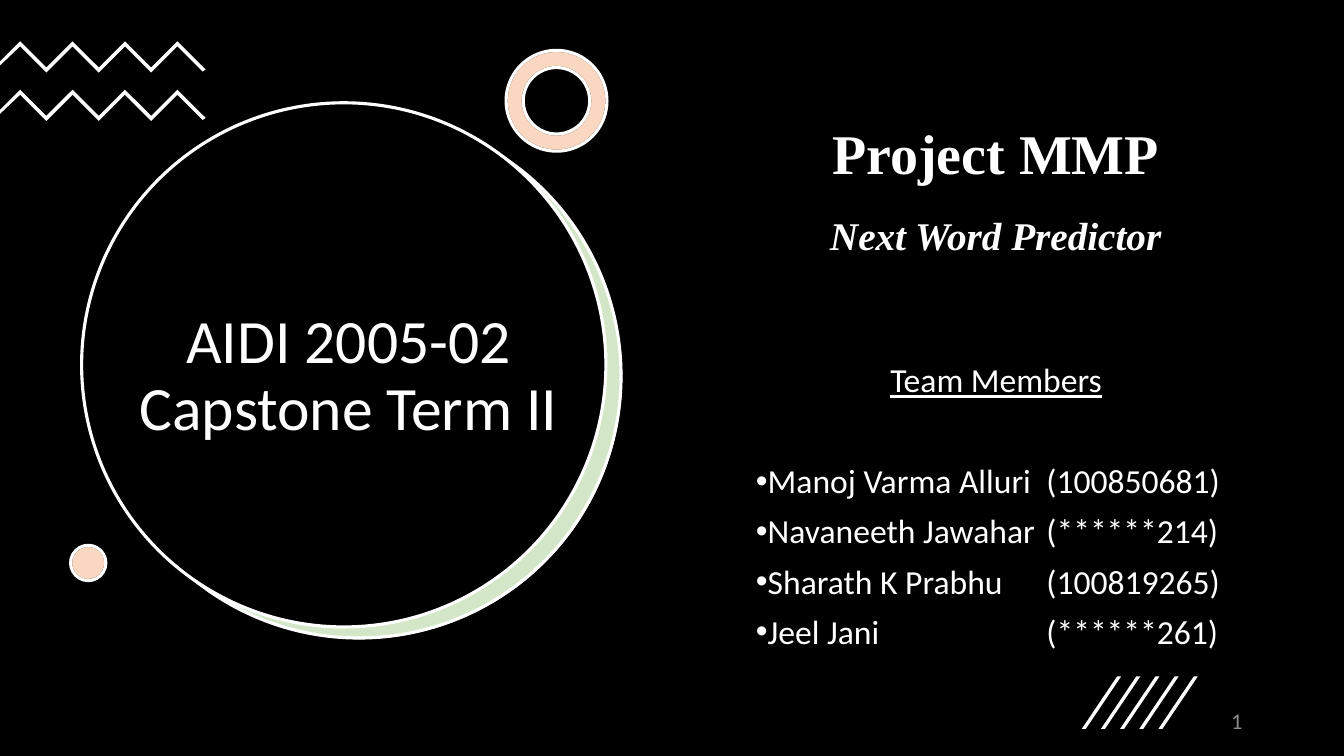
from dataclasses import dataclass

from lxml import etree
from pptx import Presentation
from pptx.dml.color import RGBColor
from pptx.enum.shapes import MSO_SHAPE
from pptx.enum.text import MSO_ANCHOR, PP_ALIGN
from pptx.oxml import parse_xml
from pptx.oxml.ns import nsdecls, qn
from pptx.util import Inches, Pt

OVAL, DONUT = MSO_SHAPE.OVAL, MSO_SHAPE.DONUT
MIDDLE = MSO_ANCHOR.MIDDLE
CENTER, RIGHT = PP_ALIGN.CENTER, PP_ALIGN.RIGHT


@dataclass(frozen=True)
class Theme:
    black: str = "000000"
    white: str = "FFFFFF"
    green: str = "70AD47"
    orange: str = "ED7D31"
    gray: str = "8C8C8C"
    sans: str = "Calibri"
    serif: str = "Times New Roman"
    course: int = 44
    project: int = 40
    tagline: int = 28
    team: int = 24
    number: int = 16
    outline: float = 2.25


theme = Theme()


def add_run(para, text, size, font=theme.sans, color=theme.white):
    span = para.add_run()
    span.text = text
    span.font.size = Pt(size)
    span.font.name = font
    span.font.color.rgb = RGBColor.from_string(color)
    return span


def add_outline(group, points):
    corners = [(Inches(x), Inches(y)) for x, y in points]
    builder = group.shapes.build_freeform(*corners[0], scale=1.0)
    builder.add_line_segments(corners[1:], close=True)
    shape = builder.convert_to_shape()
    shape.shadow.inherit = False
    shape.fill.solid()
    shape.fill.fore_color.rgb = RGBColor.from_string(theme.white)
    shape.line.fill.background()


deck = Presentation()
deck.slide_width, deck.slide_height = Inches(13.33), Inches(7.5)
slide = deck.slides.add_slide(deck.slide_layouts.get_by_name("Title Only"))
slide.background.fill.solid()
slide.background.fill.fore_color.rgb = RGBColor.from_string(theme.black)

rounds = [
    (OVAL, 0.97, 1.14, 5.2, theme.white, None, False),
    (OVAL, 0.96, 1.13, 5.2, theme.green, theme.white, True),
    (OVAL, 0.81, 1.02, 5.2, theme.black, theme.white, False),
    (DONUT, 5.02, 0.5, 1, theme.white, theme.black, False),
    (DONUT, 5.02, 0.5, 1, theme.orange, theme.white, True),
    (OVAL, 0.7, 5.41, 0.35, theme.white, theme.black, False),
    (OVAL, 0.7, 5.41, 0.35, theme.orange, theme.white, True),
]
for kind, left, top, size, fill, line, tinted in rounds:
    shape = slide.shapes.add_shape(kind, Inches(left), Inches(top), Inches(size), Inches(size))
    shape.shadow.inherit = False
    shape.fill.solid()
    shape.fill.fore_color.rgb = RGBColor.from_string(fill)
    if kind == DONUT:
        shape.adjustments[0] = 0.17
    if tinted:
        color = shape.element.spPr.find(qn("a:solidFill")).find(qn("a:srgbClr"))
        etree.SubElement(color, qn("a:alpha"), val="30000")
    if line:
        shape.line.color.rgb = RGBColor.from_string(line)
        shape.line.width = Pt(theme.outline)
    else:
        shape.line.fill.background()

zigzags = slide.shapes.add_group_shape()
for top in (0.41, 0.89):
    upper = [(0.2 + 0.26 * i, top + 0.26 * (i % 2)) for i in range(7)]
    lower = [(x, y + 0.05) for x, y in reversed(upper)]
    right_end = [(2.04, top + 0.28), (2.01, top + 0.3)]
    left_end = [(0, top + 0.24), (0, top + 0.2)]
    add_outline(zigzags, upper + right_end + lower + left_end)

slashes = slide.shapes.add_group_shape()
for i in range(5):
    left = 10.73 + 0.19 * i
    add_outline(slashes, [(left + 0.04, 7.23), (left, 7.23), (left + 0.35, 6.71), (left + 0.39, 6.71)])

title = slide.shapes.title
slide.shapes.element.append(title.element)
title.left, title.top, title.width, title.height = map(Inches, (1.14, 1.98, 4.64, 3.52))
title.text_frame.word_wrap = True
title.text_frame.vertical_anchor = MIDDLE
para = title.text_frame.paragraphs[0]
para.alignment = CENTER
para.line_spacing = 0.9
add_run(para, "AIDI 2005-02 Capstone Term II", theme.course)

box = slide.shapes.add_textbox(Inches(7.4), Inches(3.56), Inches(4.96), Inches(2.96))
box.text_frame.word_wrap = True
para = box.text_frame.paragraphs[0]
para.alignment = CENTER
para.line_spacing = 0.9
add_run(para, "Team Members", theme.team).font.underline = True

members = [
    ("Manoj Varma Alluri", "(100850681)"),
    ("Navaneeth Jawahar", "(******214)"),
    ("Sharath K Prabhu", "(100819265)"),
    ("Jeel Jani", "(******261)"),
]
for i, (name, student_id) in enumerate(members):
    para = box.text_frame.add_paragraph()
    para.line_spacing = 0.9
    para.space_before = Pt(10 if i else 46)
    add_run(para, f"{name}\t{student_id}", theme.team)
    props = para._p.get_or_add_pPr()
    props.set("marL", "0")
    props.set("indent", "0")
    etree.SubElement(props, qn("a:buFont"), typeface="Arial")
    etree.SubElement(props, qn("a:buChar"), char="•")
    tabs = etree.SubElement(props, qn("a:tabLst"))
    etree.SubElement(tabs, qn("a:tab"), pos=str(Inches(2.88)), algn="l")

box = slide.shapes.add_textbox(Inches(7.12), Inches(1.13), Inches(5.51), Inches(1.51))
box.text_frame.word_wrap = True
para = box.text_frame.paragraphs[0]
para.alignment = CENTER
add_run(para, "Project MMP", theme.project, theme.serif).font.bold = True
para = box.text_frame.add_paragraph()
para.alignment = CENTER
para.space_before = Pt(18)
span = add_run(para, "Next Word Predictor", theme.tagline, theme.serif)
span.font.bold = span.font.italic = True

box = slide.shapes.add_textbox(Inches(9.42), Inches(6.95), Inches(3), Inches(0.4))
box.text_frame.word_wrap = True
box.text_frame.vertical_anchor = MIDDLE
para = box.text_frame.paragraphs[0]
para.alignment = RIGHT
para._p.append(parse_xml(
    f'<a:fld {nsdecls("a")} id="{{B6F15528-21DE-4FAA-801E-634DDDAF4B2B}}" type="slidenum">'
    f'<a:rPr lang="en-US" sz="{theme.number * 100}"><a:solidFill><a:srgbClr val="{theme.gray}"/></a:solidFill>'
    f'<a:latin typeface="{theme.sans}"/></a:rPr><a:t>1</a:t></a:fld>'
))

deck.save("out.pptx")
